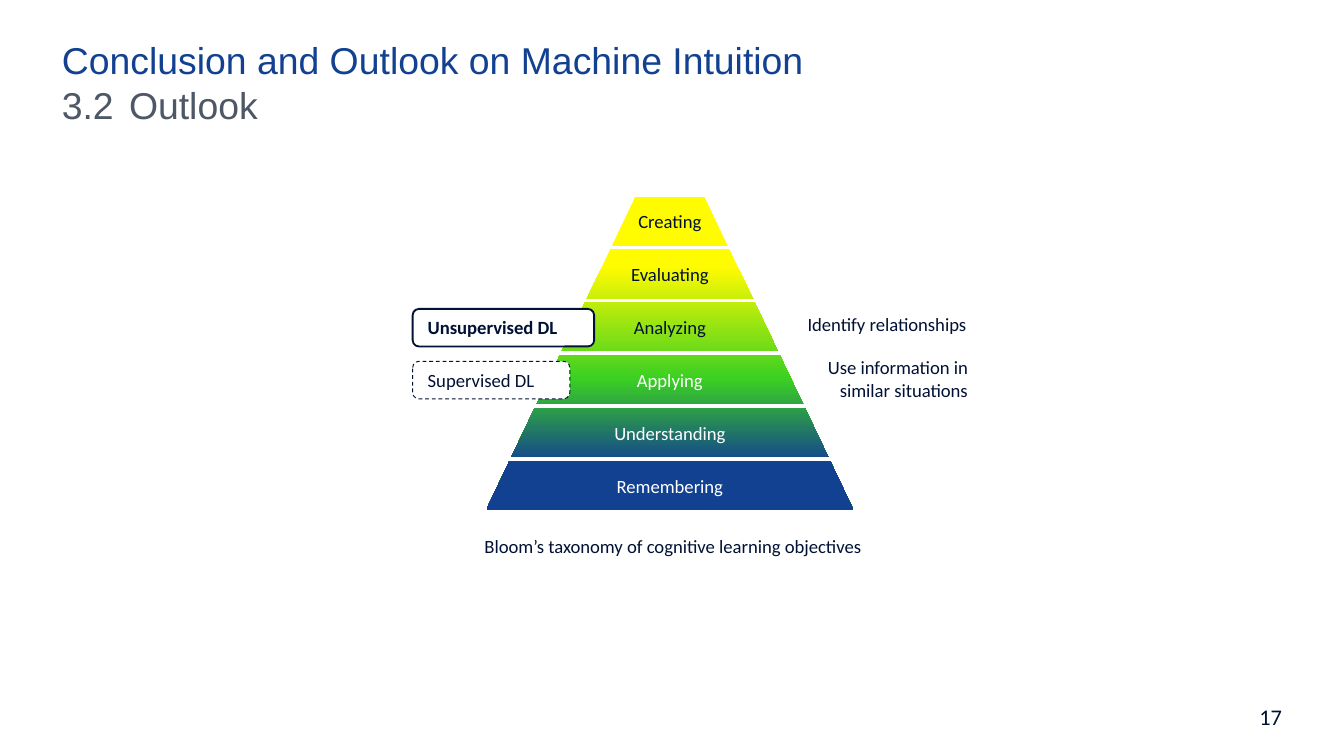
from copy import deepcopy

from pptx import Presentation
from pptx.dml.color import RGBColor
from pptx.enum.dml import MSO_LINE
from pptx.enum.shapes import MSO_SHAPE
from pptx.enum.text import MSO_ANCHOR, PP_ALIGN
from pptx.oxml.ns import qn
from pptx.util import Cm, Pt

NAVY = RGBColor(0x00, 0x11, 0x35)
BLUE = RGBColor(0x12, 0x41, 0x91)
GREEN = RGBColor(0x3B, 0xD0, 0x22)
YELLOW = RGBColor(0xFF, 0xFB, 0x00)
GRAY = RGBColor(0x4D, 0x57, 0x66)
WHITE = RGBColor(0xFF, 0xFF, 0xFF)


def write(sp, text, size=10, font="Calibri", color=NAVY, bold=False,
          align=PP_ALIGN.LEFT, anchor=MSO_ANCHOR.TOP, spacing=None,
          after=3, hanging=0, margins=(0, 0)):
    """Put one formatted paragraph in a shape; a newline is a line break."""
    tf = sp.text_frame
    tf.word_wrap = True
    tf.vertical_anchor = anchor
    tf.margin_left = tf.margin_right = Cm(margins[0])
    tf.margin_top = tf.margin_bottom = Cm(margins[1])
    p = tf.paragraphs[0]
    p.alignment = align
    p.space_after = Pt(after)
    if spacing:
        p.line_spacing = spacing
    if hanging:
        pPr = p._p.get_or_add_pPr()
        pPr.set("marL", str(Cm(hanging)))
        pPr.set("indent", str(-Cm(hanging)))
    for i, line in enumerate(text.split("\n")):
        if i:
            p.add_line_break()
        r = p.add_run()
        r.text = line
        r.font.size = Pt(size)
        r.font.name = font
        r.font.bold = bold
        r.font.color.rgb = color


class Deck:
    """Holds the slide and its style; lengths are in centimetres."""

    def __init__(self, slide):
        self.s = slide

    def shape(self, kind, box, fill=None, line=None, width=1, dash=None):
        sp = self.s.shapes.add_shape(kind, *map(Cm, box))
        sp.shadow.inherit = False
        if fill is None:
            sp.fill.background()
        else:
            sp.fill.solid()
            sp.fill.fore_color.rgb = fill
        if line is None:
            sp.line.fill.background()
        else:
            sp.line.color.rgb = line
            sp.line.width = Pt(width)
            sp.line.dash_style = dash
        return sp

    def text(self, box, text, **fmt):
        write(self.s.shapes.add_textbox(*map(Cm, box)), text, **fmt)

    def pyramid(self, box, inset, stops):
        sp = self.shape(MSO_SHAPE.TRAPEZOID, box)
        sp.adjustments[0] = inset
        sp.fill.gradient()
        sp.fill.gradient_angle = 270
        # A new gradient has two stops: add the missing ones
        gs_lst = sp._element.spPr.find(".//" + qn("a:gsLst"))
        for _ in stops[2:]:
            gs_lst.append(deepcopy(gs_lst[0]))
        for stop, (position, color) in zip(sp.fill.gradient_stops, stops):
            stop.position = position
            stop.color.rgb = color

    def band(self, box, text, color):
        sp = self.shape(MSO_SHAPE.RECTANGLE, box, line=WHITE, width=2)
        write(sp, text, color=color, align=PP_ALIGN.CENTER,
              anchor=MSO_ANCHOR.MIDDLE)

    def label(self, box, text, width, dash=None, **fmt):
        sp = self.shape(MSO_SHAPE.ROUNDED_RECTANGLE, box, WHITE, NAVY,
                        width, dash)
        write(sp, text, margins=(0.25, 0.1), **fmt)


def main():
    prs = Presentation()
    prs.slide_width, prs.slide_height = Cm(25.4), Cm(14.29)
    deck = Deck(prs.slides.add_slide(prs.slide_layouts[6]))

    # Headings
    heading = dict(size=20, font="Arial", spacing=0.9, after=0)
    deck.text((1.17, 0.79, 23.09, 0.86),
              "Conclusion and Outlook on Machine Intuition",
              color=BLUE, **heading)
    deck.text((1.17, 1.65, 23.09, 0.86), "3.2\tOutlook",
              color=GRAY, hanging=1.27, **heading)

    # Pyramid with one band for each level
    left, top, width, step = 9.17, 3.68, 6.98, 1
    deck.pyramid((left, 3.66, width, 6.02), 0.476,
                 [(0.23, YELLOW), (0.58, GREEN), (0.85, BLUE)])
    levels = ["Creating", "Evaluating", "Analyzing",
              "Applying", "Understanding", "Remembering"]
    for i, level in enumerate(levels):
        deck.band((left, top + i * step, width, step), level,
                  NAVY if i < 3 else WHITE)

    # Learning types on the left
    deck.label((7.8, 5.84, 3.43, 0.71), "Unsupervised DL", 1, bold=True)
    deck.label((7.8, 6.83, 2.97, 0.71), "Supervised DL", 0.5,
               MSO_LINE.DASH, anchor=MSO_ANCHOR.MIDDLE)

    # Explanations on the right
    note = dict(align=PP_ALIGN.RIGHT, anchor=MSO_ANCHOR.MIDDLE)
    deck.text((14.73, 5.92, 3.53, 0.43), "Identify relationships", **note)
    deck.text((15.34, 6.73, 2.95, 0.86),
              "Use information in\nsimilar situations", **note)

    # Caption and page number
    deck.text((7.14, 10.16, 11.15, 0.46),
              "Bloom’s taxonomy of cognitive learning objectives",
              align=PP_ALIGN.CENTER, spacing=0.9, after=6)
    deck.text((23.52, 13.34, 0.71, 0.46), "17", size=12,
              align=PP_ALIGN.RIGHT, spacing=0.9, after=6)

    prs.save("out.pptx")


if __name__ == "__main__":
    main()
